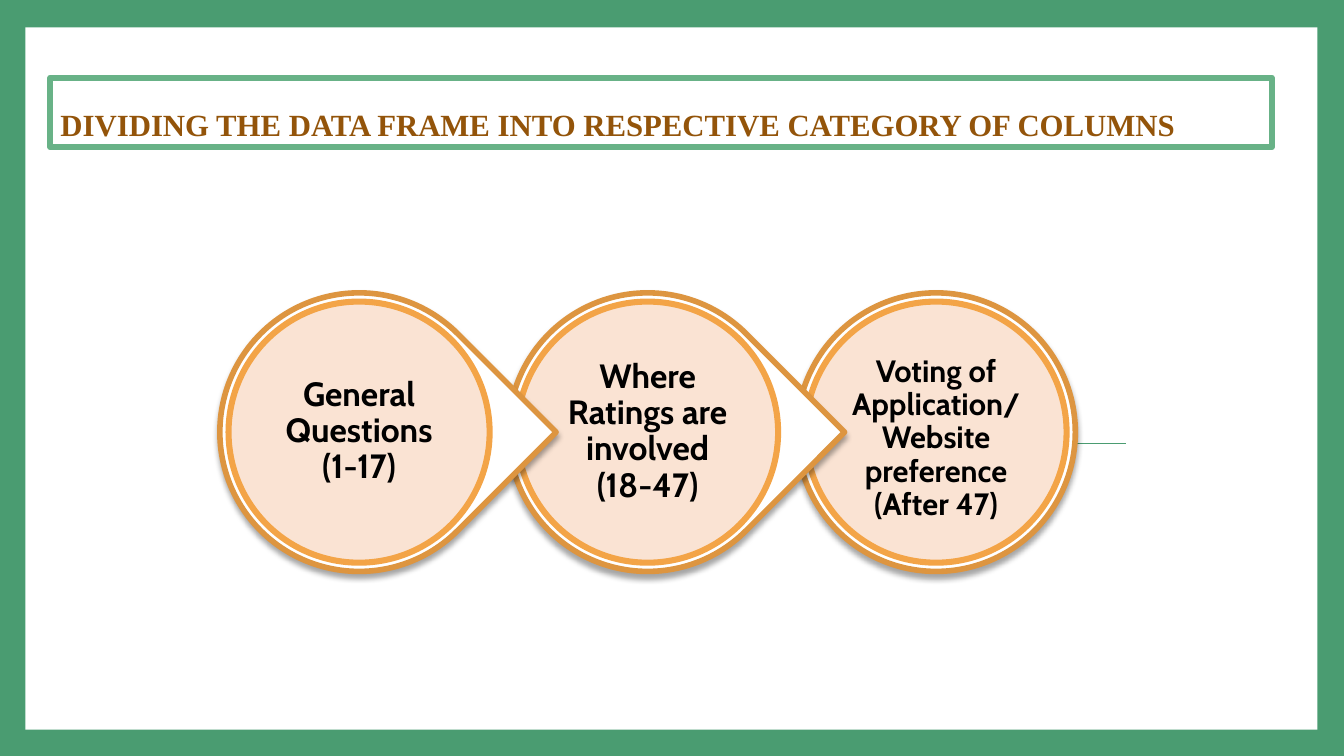
from dataclasses import dataclass

from lxml.etree import SubElement
from pptx import Presentation
from pptx.dml.color import RGBColor
from pptx.enum.shapes import MSO_CONNECTOR, MSO_SHAPE
from pptx.enum.text import MSO_ANCHOR, MSO_AUTO_SIZE, PP_ALIGN
from pptx.oxml.ns import qn
from pptx.util import Cm, Pt


@dataclass(frozen=True)
class Theme:
    """Colours, fonts and sizes of the slide."""
    green: str = "4A9C71"
    light_green: str = "68B287"
    white: str = "FFFFFF"
    black: str = "000000"
    brown: str = "93540A"
    ring: str = "DD9540"
    disc_line: str = "F3A447"
    disc: str = "FAE0CF"
    title_font: str = "Times New Roman"
    body_font: str = "Cabin"
    title_size: int = 22
    body_size: int = 24
    small_size: int = 22


THEME = Theme()
STEPS = [
    ("General Questions (1-17)", THEME.body_size, 0),
    ("Where Ratings are involved (18-47)", THEME.body_size, 0),
    ("Voting of Application/Website preference (After 47)", THEME.small_size, 0.18),
]


def rgb(code):
    """Turn a hex code into a colour."""
    return RGBColor.from_string(code)


def paint(sp, fill, line=None, width=0):
    """Give a shape a plain fill and an optional outline."""
    sp.fill.solid()
    sp.fill.fore_color.rgb = rgb(fill)
    if line:
        sp.line.color.rgb = rgb(line)
        sp.line.width = Pt(width)
    else:
        sp.line.fill.background()


def add_shape(s, kind, x, y, w, h, fill, line=None, width=0):
    """Add a painted preset shape without a shadow."""
    sp = s.shapes.add_shape(kind, Cm(x), Cm(y), Cm(w), Cm(h))
    sp.shadow.inherit = False
    paint(sp, fill, line, width)
    return sp


def add_run(p, text, font, size, color):
    """Add one bold run to a paragraph."""
    r = p.add_run()
    r.text = text
    r.font.name = font
    r.font.size = Pt(size)
    r.font.bold = True
    r.font.color.rgb = rgb(color)


def add_shadow(sp):
    """Put a soft shadow below a shape."""
    effects = sp._element.spPr.find(qn("a:effectLst"))
    shadow = SubElement(effects, qn("a:outerShdw"), blurRad=str(Pt(4)),
                        dist=str(Pt(3)), dir="5400000", rotWithShape="0")
    color = SubElement(shadow, qn("a:srgbClr"), val=THEME.black)
    SubElement(color, qn("a:alpha"), val="35000")


def draw_frame(s, x, y, w, h):
    """Draw the white panel on green and its centre line."""
    s.background.fill.solid()
    s.background.fill.fore_color.rgb = rgb(THEME.green)
    add_shape(s, MSO_SHAPE.RECTANGLE, x, y, w, h, THEME.white)
    line_y = Cm(y + 10.49)
    line = s.shapes.add_connector(MSO_CONNECTOR.STRAIGHT, Cm(x + 4.87), line_y,
                                  Cm(x + 27.73), line_y)
    line.line.color.rgb = rgb(THEME.green)
    line.line.width = Pt(1)
    SubElement(line._element.spPr, qn("a:effectLst"))


def draw_title(s, x, y, w, h):
    """Place the outlined title above the panel."""
    sp = s.shapes.title
    sp._element.getparent().append(sp._element)
    sp.left, sp.top, sp.width, sp.height = Cm(x), Cm(y), Cm(w), Cm(h)
    paint(sp, THEME.white, THEME.light_green, 4.33)
    tf = sp.text_frame
    tf.word_wrap = True
    tf.auto_size = MSO_AUTO_SIZE.NONE
    tf.vertical_anchor = MSO_ANCHOR.BOTTOM
    p = tf.paragraphs[0]
    p.alignment = PP_ALIGN.LEFT
    p.line_spacing = 1.5
    add_run(p, "DIVIDING THE DATA FRAME INTO RESPECTIVE CATEGORY OF COLUMNS",
            THEME.title_font, THEME.title_size, THEME.brown)


def draw_step(s, x, y, size, step, is_last):
    """Draw one ringed disc, pointing right unless it is the last."""
    text, text_size, drop = step
    kind = MSO_SHAPE.OVAL if is_last else MSO_SHAPE.TEAR
    ring = add_shape(s, kind, x, y, size, size, THEME.white, THEME.ring, 4)
    if not is_last:
        ring.adjustments[0] = 1
        ring.rotation = 45
    add_shadow(ring)

    disc = add_shape(s, MSO_SHAPE.OVAL, x + 0.22, y + 0.22, size - 0.44, size - 0.44,
                     THEME.disc, THEME.disc_line, 4.33)
    color = disc._element.spPr.find(qn("a:solidFill"))[0]
    SubElement(color, qn("a:alpha"), val="90000")

    box = s.shapes.add_textbox(Cm(x + 1.16), Cm(y + 1.15 + drop), Cm(4.7), Cm(4.7))
    tf = box.text_frame
    tf.word_wrap = True
    tf.vertical_anchor = MSO_ANCHOR.MIDDLE
    tf.margin_left = tf.margin_right = tf.margin_top = tf.margin_bottom = Cm(0.08)
    p = tf.paragraphs[0]
    p.alignment = PP_ALIGN.CENTER
    p.line_spacing = 0.9
    add_run(p, text, THEME.body_font, text_size, THEME.black)


def draw_steps(s, x, y, size, pitch):
    """Draw the steps from right to left so each point overlaps the next."""
    last = len(STEPS) - 1
    for i in range(last, -1, -1):
        draw_step(s, x + i * pitch, y, size, STEPS[i], i == last)


def main():
    """Build and save the slide."""
    prs = Presentation()
    prs.slide_width, prs.slide_height = Cm(33.87), Cm(19.05)
    s = prs.slides.add_slide(prs.slide_layouts[5])
    draw_frame(s, 0.64, 0.69, 32.56, 17.7)
    draw_title(s, 1.27, 1.96, 30.78, 1.75)
    draw_steps(s, 5.54, 7.38, 7.02, 7.27)
    prs.save("out.pptx")


if __name__ == "__main__":
    main()
